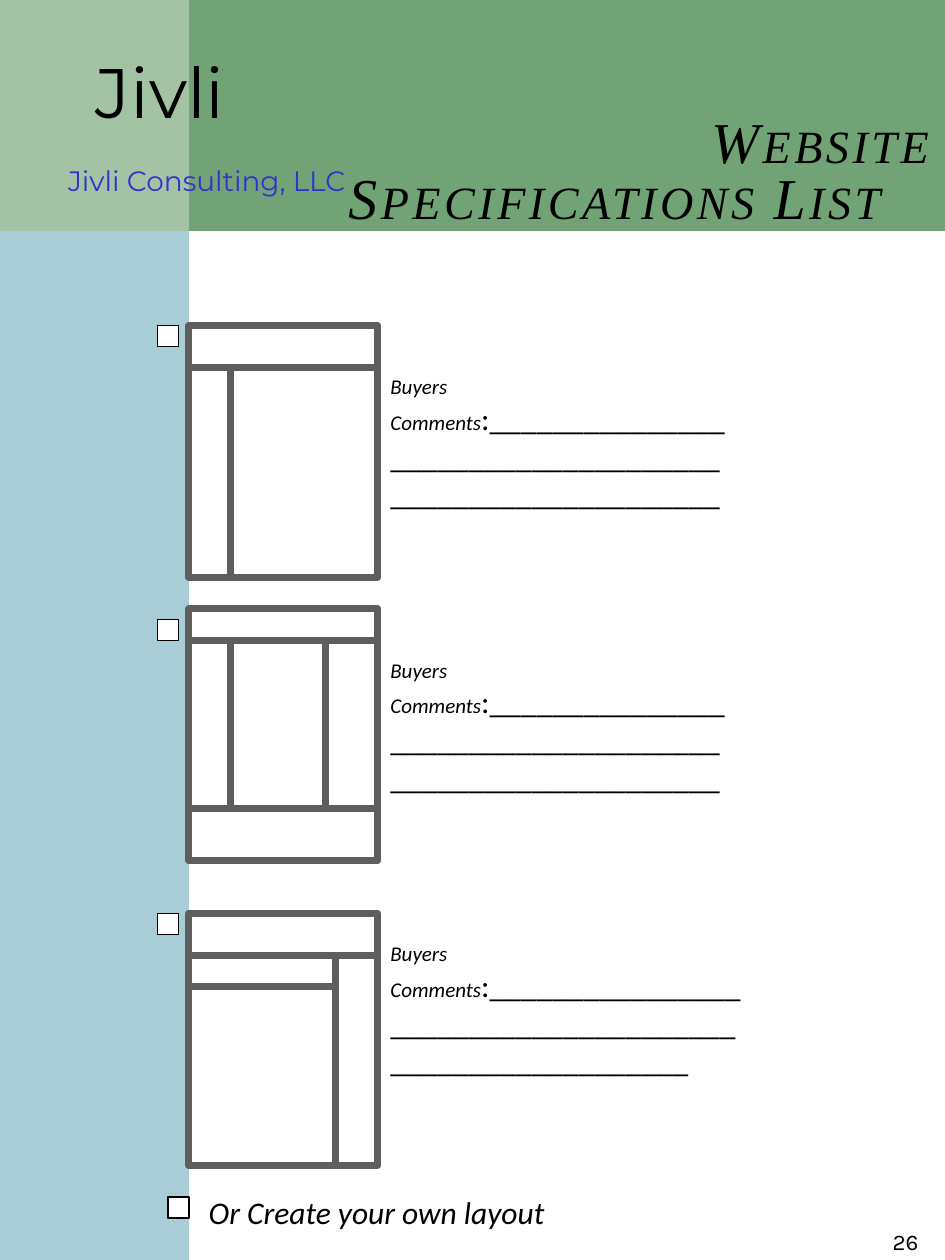
from lxml.etree import SubElement
from pptx import Presentation
from pptx.dml.color import RGBColor
from pptx.enum.shapes import MSO_CONNECTOR, MSO_SHAPE
from pptx.enum.text import MSO_ANCHOR, PP_ALIGN
from pptx.oxml.ns import qn
from pptx.util import Cm, Pt

# Positions and sizes are in grid units of a twelfth of an inch.
GRID_CM = 2.54 / 12
PAGE = (90, 120)
FRAME_LEFT, FRAME_SIZE = 18, (18, 24)
CHECKBOX_SIZE = 2

THEME = {
    "sidebar": "A8CDD7", "header": "72A376", "corner": "B0CCB0",
    "paper": "FFFFFF", "ink": "000000", "frame": "5E5E5E", "company": "3333CC",
    "frame_width": 4, "checkbox_width": 0.75,
    "logo": {"name": "Montserrat", "size": 40},
    "subtitle": {"name": "Montserrat", "size": 16, "color": "3333CC"},
    "title": {"name": "Times New Roman", "size": 33, "italic": True},
    "label": {"name": "Calibri", "size": 12, "italic": True},
    "blank": {"name": "Calibri", "size": 18},
    "option": {"name": "Calibri", "size": 18, "italic": True},
    "page": {"name": "Karla", "size": 16},
}

# Dividers run from (x1, y1) to (x2, y2) inside their frame.
LAYOUTS = [
    {"top": 31, "checkbox": 31, "comment": 35, "comment_width": 35,
     "dividers": [(0, 4, 18, 4), (4, 24, 4, 4)]},
    {"top": 58, "checkbox": 59, "comment": 62, "comment_width": 35,
     "dividers": [(0, 3, 18, 3), (0, 19, 18, 19), (4, 19, 4, 3), (13, 19, 13, 3)]},
    {"top": 87, "checkbox": 87, "comment": 89, "comment_width": 36,
     "dividers": [(0, 4, 18, 4), (0, 7, 14, 7), (14, 24, 14, 4)]},
]
COMMENT_RUNS = [("Buyers Comments", "label"), (":" + "_" * 57, "blank")]


def grid(*values):
    return [Cm(value * GRID_CM) for value in values]


def add_rectangle(slide, box, fill, line=None, width=None, opacity=None):
    shape = slide.shapes.add_shape(MSO_SHAPE.RECTANGLE, *grid(*box))
    shape.shadow.inherit = False
    shape.fill.solid()
    shape.fill.fore_color.rgb = RGBColor.from_string(THEME[fill])
    if opacity:
        color = shape.fill._xPr.find(qn("a:solidFill"))[0]
        SubElement(color, qn("a:alpha"), val=str(opacity * 1000))
    if line:
        shape.line.color.rgb = RGBColor.from_string(THEME[line])
        shape.line.width = Pt(THEME[width])
    else:
        shape.line.fill.background()


def add_divider(slide, start, end):
    connector = slide.shapes.add_connector(
        MSO_CONNECTOR.STRAIGHT, *grid(*start), *grid(*end))
    connector.line.color.rgb = RGBColor.from_string(THEME["frame"])
    connector.line.width = Pt(THEME["frame_width"])
    SubElement(connector._element.spPr, qn("a:effectLst"))


def add_text(slide, box, runs, paragraph_format=None, frame_format=None, **run_xml):
    """Add one paragraph of (text, theme style) runs; run_xml sets rPr attributes."""
    frame = slide.shapes.add_textbox(*grid(*box)).text_frame
    for name, value in {"word_wrap": True, **(frame_format or {})}.items():
        setattr(frame, name, value)
    paragraph = frame.paragraphs[0]
    for name, value in (paragraph_format or {}).items():
        setattr(paragraph, name, value)
    for text, style in runs:
        run = paragraph.add_run()
        run.text = text
        font = {**THEME[style]}
        run.font.color.rgb = RGBColor.from_string(font.pop("color", THEME["ink"]))
        font["size"] = Pt(font["size"])
        for name, value in font.items():
            setattr(run.font, name, value)
        for name, value in run_xml.items():
            run.font._element.set(name, value)


def add_checkbox(slide, left, top):
    add_rectangle(slide, (left, top, CHECKBOX_SIZE, CHECKBOX_SIZE),
                  "paper", "ink", "checkbox_width")


def add_header(slide):
    add_rectangle(slide, (0, 8, 18, 112), "sidebar")
    add_rectangle(slide, (0, 0, 90, 22), "header")
    add_rectangle(slide, (0, 0, 18, 22), "corner", opacity=80)
    centered, unwrapped = {"alignment": PP_ALIGN.CENTER}, {"word_wrap": False}
    add_text(slide, (5.5, 4, 19.5, 9.2), [("Jivli", "logo")], centered, unwrapped)
    add_text(slide, (5, 15, 29.4, 3.7), [("Jivli Consulting, LLC", "subtitle")],
             centered, unwrapped)
    add_text(slide, (32, 10.8, 58, 12), [("Website Specifications List", "title")],
             {"alignment": PP_ALIGN.RIGHT, "line_spacing": 0.8},
             cap="small", spc="200")


def add_layout(slide, layout):
    top = layout["top"]
    add_checkbox(slide, 15, layout["checkbox"])
    add_rectangle(slide, (FRAME_LEFT, top, *FRAME_SIZE), "paper", "frame", "frame_width")
    for x1, y1, x2, y2 in layout["dividers"]:
        add_divider(slide, (FRAME_LEFT + x1, top + y1), (FRAME_LEFT + x2, top + y2))
    add_text(slide, (36, layout["comment"], layout["comment_width"], 14.5), COMMENT_RUNS)


def main():
    presentation = Presentation()
    presentation.slide_width, presentation.slide_height = grid(*PAGE)
    slide = presentation.slides.add_slide(presentation.slide_layouts[6])
    add_header(slide)
    for layout in LAYOUTS:
        add_layout(slide, layout)
    add_checkbox(slide, 16, 114)
    add_text(slide, (18.7, 113, 57, 4.8), [("Or Create your own layout", "option")])
    add_text(slide, (82.5, 116, 7.5, 4), [("26", "page")],
             {"alignment": PP_ALIGN.CENTER},
             {"vertical_anchor": MSO_ANCHOR.MIDDLE}, cap="small")
    presentation.save("out.pptx")


if __name__ == "__main__":
    main()
